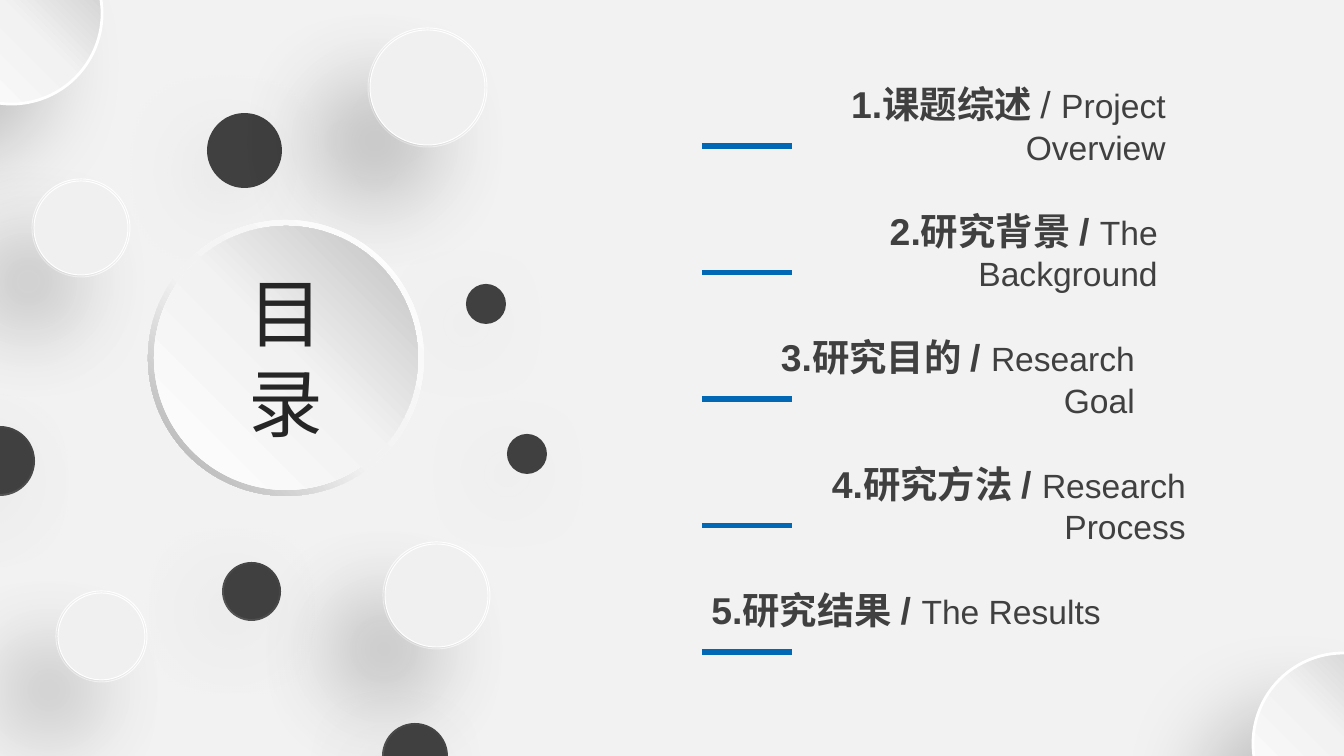
"""Build the contents slide: soft discs on the left, five agenda items on the right."""
import pptx
import pptx.util
import pptx.dml.color
import pptx.enum.shapes
import pptx.enum.text
import pptx.oxml.ns
from lxml import etree

COLORS = {"back": "F2F2F2", "pale": "F0F0F0", "dark": "404040", "ink": "262626",
          "rule": "0068B4", "white": "FFFFFF", "mid": "BFBFBF", "rim": "A6A6A6",
          "black": "000000", "haze": "D8D8D8"}
TITLE = "目录"
ITEMS = [
    ("1.课题综述 ", "/ ", "Project\u00a0Overview".replace("\u00a0", " "), 1179),
    ("2.研究背景 / ", "", "The Background", 1171),
    ("3.研究目的 / ", "", "Research Goal", 1148),
    ("4.研究方法 / ", "", "Research Process", 1199),
    ("5.研究结果 / ", "", "The Results", 1114),
]
CORNERS = [(1253, 653, 181, 270), (-79, -77, 181, 90)]
DOTS = [(507, 434, 40), (207, 113, 75), (466, 284, 40)]
PALE = [(56, 591, 91), (32, 179, 98), (383, 542, 107), (368, 28, 119)]
DARK = [(222, 562, 59), (-35, 426, 70), (382, 723, 66)]
HERO = (148, 220, 276)
SHADE = {"pale": ("black", 20, 45, 40), "dark": ("haze", 40, 37, 15)}

SCALE = 914400 / 134.4
Pt = pptx.util.Pt
KIND = pptx.enum.shapes.MSO_SHAPE
ALIGN = pptx.enum.text.PP_ALIGN
qn = pptx.oxml.ns.qn


def px(n):
    return round(n * SCALE)


def rgb(name):
    return pptx.dml.color.RGBColor.from_string(COLORS[name])


def node(up, tag, **attrs):
    return etree.SubElement(up, qn("a:" + tag), {k: str(v) for k, v in attrs.items()})


def blend(shape, stops, angle=None):
    shape.fill.gradient()
    grad = shape._element.spPr.find(qn("a:gradFill"))
    for child in list(grad):
        grad.remove(child)
    steps = node(grad, "gsLst")
    for pos, name in stops:
        node(node(steps, "gs", pos=pos * 1000), "srgbClr", val=COLORS[name])
    if angle is None:
        node(node(grad, "path", path="circle"), "fillToRect", t=100000, r=100000)
    else:
        node(grad, "lin", ang=angle * 60000, scaled=0)


def disc(shapes, left, top, size, fill=None, edge=0, shade=None, ring=False):
    kind = KIND.DONUT if ring else KIND.OVAL
    shape = shapes.add_shape(kind, px(left), px(top), px(size), px(size))
    if ring:
        shape.adjustments[0] = 0.05
    if fill:
        shape.fill.solid()
        shape.fill.fore_color.rgb = rgb(fill)
    if edge:
        shape.line.color.rgb = rgb("white")
        shape.line.width = Pt(edge)
    else:
        shape.line.fill.background()
    shape.shadow.inherit = False
    if shade:
        name, alpha, blur, dist = SHADE[shade]
        cast = node(shape._element.spPr.find(qn("a:effectLst")), "outerShdw",
                    blurRad=Pt(blur), dist=Pt(dist), dir=135 * 60000,
                    algn="ctr", rotWithShape=0)
        node(node(cast, "srgbClr", val=COLORS[name]), "alpha", val=alpha * 1000)
    return shape


def pair(slide, left, top, size, inset, **look):
    group = slide.shapes.add_group_shape().shapes
    rim = disc(group, left, top, size, ring=True, **look)
    core = disc(group, left + inset, top + inset, size - 2 * inset, **look)
    return rim, core


def draw_discs(slide):
    for left, top, size, turn in CORNERS:
        shape = disc(slide.shapes, left, top, size, edge=1.5, shade="pale")
        blend(shape, [(0, "white"), (50, "back"), (100, "mid")])
        shape.rotation = turn
    for spot in DOTS:
        disc(slide.shapes, *spot, fill="dark", shade="dark")
    for spot in PALE:
        pair(slide, *spot, 2, fill="pale", edge=0.5, shade="pale")
    for spot in DARK:
        pair(slide, *spot, 2, fill="dark", shade="dark")
    rim, core = pair(slide, *HERO, 6)
    blend(rim, [(0, "white"), (55, "back"), (100, "rim")], 135)
    blend(core, [(0, "white"), (51, "back"), (100, "mid")], 315)


def draw_title(slide):
    title = slide.shapes.title
    title.left, title.top, title.width, title.height = map(px, (234, 262, 103, 191))
    slide.shapes._spTree.append(title._element)
    frame = title.text_frame
    frame.text = TITLE
    frame.word_wrap = True
    frame.auto_size = pptx.enum.text.MSO_AUTO_SIZE.NONE
    frame.vertical_anchor = pptx.enum.text.MSO_ANCHOR.TOP
    frame.margin_left = frame.margin_right = px(9)
    frame.margin_top = frame.margin_bottom = px(5)
    para = frame.paragraphs[0]
    para.alignment = ALIGN.CENTER
    para.font.size = Pt(40)
    para.font.name = "Noto Sans CJK SC"
    para.font.color.rgb = rgb("ink")
    node(para.font._element, "ea", typeface="Noto Sans CJK SC")


def draw_item(slide, row, head, slash, name, right):
    left, top = 690, 75 + 126.5 * row
    rule = slide.shapes.add_connector(pptx.enum.shapes.MSO_CONNECTOR.STRAIGHT,
                                      px(702), px(top + 71), px(792), px(top + 71))
    rule.line.color.rgb = rgb("rule")
    rule.line.width = Pt(3)
    node(rule._element.spPr, "effectLst")
    box = slide.shapes.add_textbox(px(left), px(top), px(right - left), px(59))
    box.text_frame.word_wrap = True
    para = box.text_frame.paragraphs[0]
    para.alignment = ALIGN.RIGHT
    para.font.name = "Arial"
    para.font.color.rgb = rgb("dark")
    for text, size, bold in ((head, 20, True), (slash, 20, False), (name, 18, False)):
        if text:
            run = para.add_run()
            run.text = text
            run.font.size = Pt(size)
            run.font.bold = bold


def main():
    deck = pptx.Presentation()
    deck.slide_width, deck.slide_height = px(1344), px(756)
    slide = deck.slides.add_slide(deck.slide_layouts[5])
    slide.background.fill.solid()
    slide.background.fill.fore_color.rgb = rgb("back")
    draw_discs(slide)
    draw_title(slide)
    for row, item in enumerate(ITEMS):
        draw_item(slide, row, *item)
    deck.save("out.pptx")


if __name__ == "__main__":
    main()
